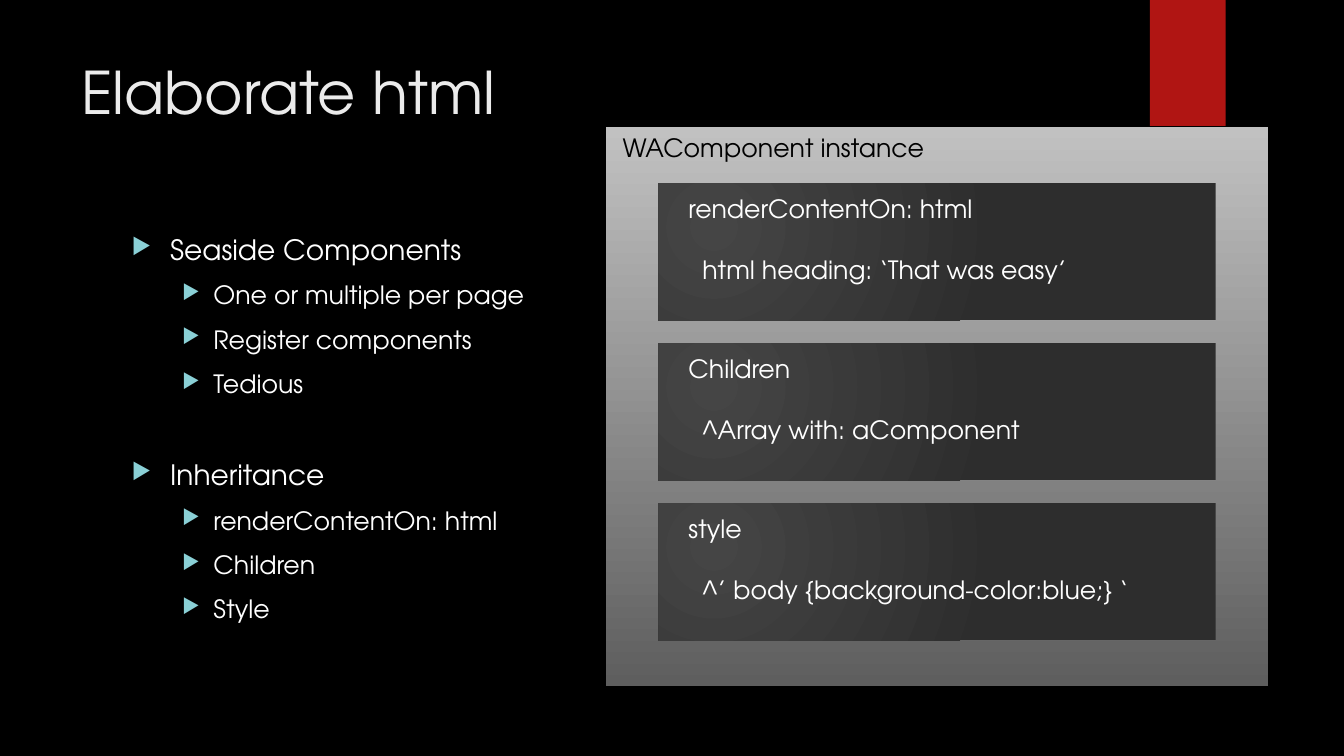
from lxml.etree import SubElement
from pptx import Presentation
from pptx.dml.color import RGBColor
from pptx.enum.shapes import MSO_SHAPE
from pptx.enum.text import MSO_ANCHOR, PP_ALIGN
from pptx.oxml.ns import qn
from pptx.util import Cm, Pt

FONT = "TeX Gyre Adventor"
HEADING = "Elaborate html"
TOPICS = [
    ("Seaside Components", ["One or multiple per page", "Register components", "Tedious"]),
    ("Inheritance", ["renderContentOn: html", "Children", "Style"]),
]
COMPONENT = "WAComponent instance"
METHODS = [
    ("renderContentOn: html", "  html heading: ‘That was easy’"),
    ("Children", "  ^Array with: aComponent"),
    ("style", "  ^’ body {background-color:blue;} ‘"),
]
METHOD_TOP, METHOD_PITCH = 4.62, 4.03
TOPIC_LEVEL = {"size": 20, "indent": 0.97, "hang": 0.97}
DETAIL_LEVEL = {"size": 18, "indent": 2.06, "hang": 0.79}


def color(value):
    return RGBColor.from_string(value)


def add_rect(left, top, width, height):
    rect = slide.shapes.add_shape(
        MSO_SHAPE.RECTANGLE, Cm(left), Cm(top), Cm(width), Cm(height))
    rect.shadow.inherit = False
    rect.line.fill.background()
    return rect


def fill_gradient(rect, start, end, focus=None):
    rect.fill.gradient()
    for stop, value in zip(rect.fill.gradient_stops, (start, end)):
        stop.color.rgb = color(value)
    if focus is None:
        rect.fill.gradient_angle = 270
        return
    gradient = rect._element.spPr.find(qn("a:gradFill"))
    gradient.remove(gradient.find(qn("a:lin")))
    radial = SubElement(gradient, qn("a:path"), {"path": "circle"})
    SubElement(radial, qn("a:fillToRect"),
               {side: str(percent * 1000) for side, percent in zip("ltrb", focus)})


def open_frame(shape, left=0.25, top=0.13):
    frame = shape.text_frame
    frame.word_wrap = True
    frame.vertical_anchor = MSO_ANCHOR.TOP
    frame.margin_left, frame.margin_top = Cm(left), Cm(top)
    return frame


def add_textbox(left, top, width, height):
    return open_frame(slide.shapes.add_textbox(Cm(left), Cm(top), Cm(width), Cm(height)))


def write(frame, text, size, ink, gap=0, bullet=None):
    first = not frame.text
    paragraph = frame.paragraphs[0] if first else frame.add_paragraph()
    paragraph.text = text
    paragraph.alignment = PP_ALIGN.LEFT
    if bullet:
        add_bullet(paragraph, bullet["indent"], bullet["hang"])
    if not first:
        paragraph.space_before = Pt(gap)
    paragraph.font.name = FONT
    paragraph.font.size = Pt(size)
    paragraph.font.color.rgb = color(ink)


def add_bullet(paragraph, indent, hang):
    properties = paragraph._p.get_or_add_pPr()
    properties.set("marL", str(Cm(indent)))
    properties.set("indent", str(-Cm(hang)))
    tint = SubElement(properties, qn("a:buClr"))
    SubElement(tint, qn("a:srgbClr"), {"val": "8AD0D6"})
    SubElement(properties, qn("a:buSzPct"), {"val": "80000"})
    SubElement(properties, qn("a:buChar"), {"char": "▶"})


deck = Presentation()
deck.slide_width, deck.slide_height = Cm(33.87), Cm(19.05)
slide = deck.slides.add_slide(deck.slide_layouts[6])
slide.background.fill.solid()
slide.background.fill.fore_color.rgb = color("000000")

ribbon = add_rect(28.98, 0, 1.91, 3.18)
ribbon.fill.solid()
ribbon.fill.fore_color.rgb = color("B01513")

component = add_rect(15.27, 3.2, 16.69, 14.1)
fill_gradient(component, "C1C1C1", "5E5E5E")
component.line.color.rgb = color("000000")
component.line.width = Pt(0.75)
write(open_frame(component, left=0.42), COMPONENT, 18, "000000")

write(add_textbox(1.8, 1.27, 26.14, 3.89), HEADING, 42, "EBEBEB")

topics = add_textbox(3.07, 5.72, 24.84, 11.66)
for topic, details in TOPICS:
    write(topics, topic, TOPIC_LEVEL["size"], "FFFFFF", gap=42, bullet=TOPIC_LEVEL)
    for detail in details:
        write(topics, detail, DETAIL_LEVEL["size"], "FFFFFF", gap=10, bullet=DETAIL_LEVEL)
for paragraph in topics.paragraphs:
    paragraph.level = int(paragraph.font.size == Pt(DETAIL_LEVEL["size"]))

for row, (selector, body) in enumerate(METHODS):
    method = add_rect(16.59, METHOD_TOP + row * METHOD_PITCH, 14.05, 3.45)
    fill_gradient(method, "454545", "2D2D2D", focus=(45, 65, 125, 100))
    frame = open_frame(method, left=0.76, top=0.25)
    write(frame, selector, 18, "FFFFFF")
    write(frame, body, 18, "FFFFFF", gap=22)

deck.save("out.pptx")
